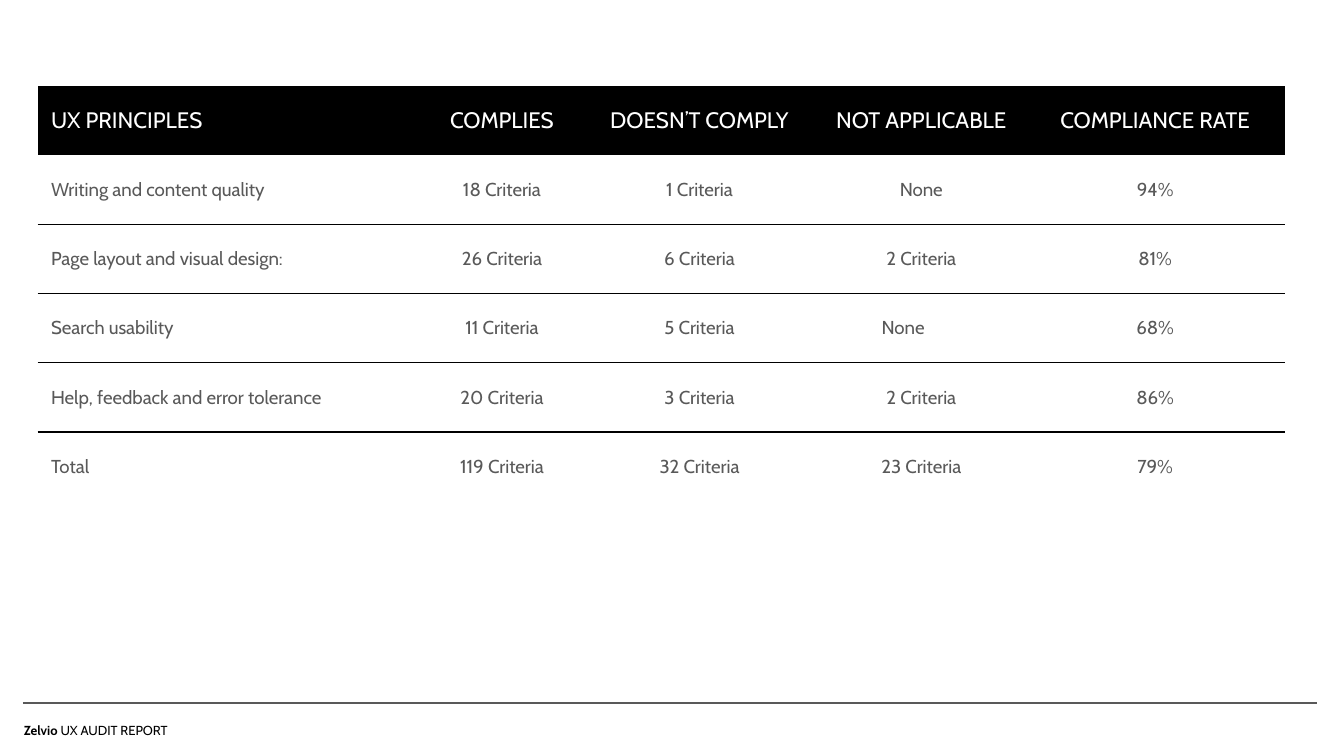
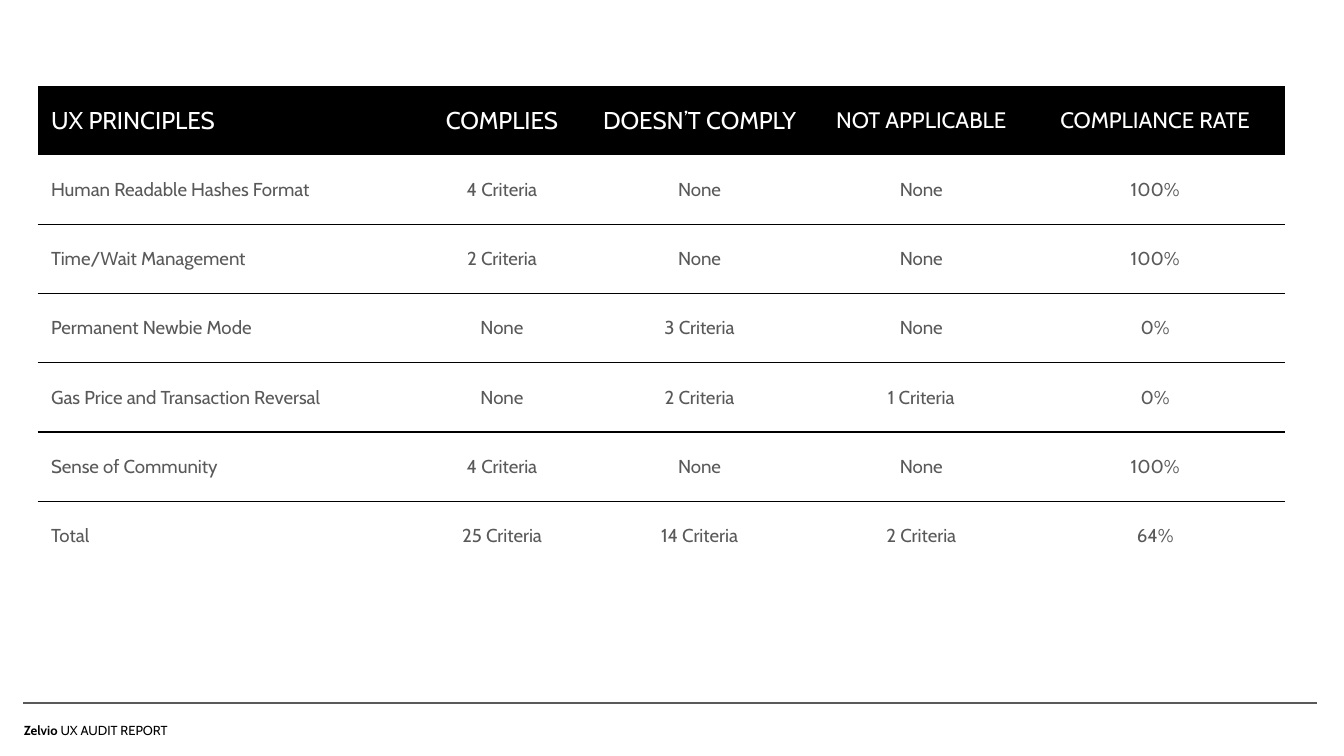
"""Build two slides of a UX audit with compliance tables."""
import lxml.etree
import pptx
import pptx.dml.color
import pptx.enum.text
import pptx.oxml.ns
import pptx.util

WIDE = pptx.util.Inches(10)
HIGH = pptx.util.Inches(5.625)
FONT = "Cabin"
HUES = {"ink": "000000", "grey": "595959", "paper": "FFFFFF"}
LEFT, TOP, ROW = 2.8, 11.4, 9.15
COLS = [28.6, 11.9, 17.5, 15.5, 19.3]
PLAIN = "{2D5ABB26-0587-4C30-8999-92F81FD0307C}"
ALIGN = pptx.enum.text.PP_ALIGN
MID = pptx.enum.text.MSO_ANCHOR.MIDDLE
GROW = pptx.enum.text.MSO_AUTO_SIZE.SHAPE_TO_FIT_TEXT
HEAD = ["UX PRINCIPLES", "COMPLIES", "DOESN’T COMPLY", "NOT APPLICABLE", "COMPLIANCE RATE"]
BASICS = [
    ["Writing and content quality", "18 Criteria", "1 Criteria", "None", "94%"],
    ["Page layout and visual design:", "26 Criteria", "6 Criteria", "2 Criteria", "81%"],
    ["Search usability", "11 Criteria", "5 Criteria", "None", "68%"],
    ["Help, feedback and error tolerance", "20 Criteria", "3 Criteria", "2 Criteria", "86%"],
    ["Total", "119 Criteria", "32 Criteria", "23 Criteria", "79%"],
]
CHAIN = [
    ["Human Readable Hashes Format", "4 Criteria", "None", "None", "100%"],
    ["Time/Wait Management", "2 Criteria", "None", "None", "100%"],
    ["Permanent Newbie Mode", "None", "3 Criteria", "None", "0%"],
    ["Gas Price and Transaction Reversal", "None", "2 Criteria", "1 Criteria", "0%"],
    ["Sense of Community", "4 Criteria", "None", "None", "100%"],
    ["Total", "25 Criteria", "14 Criteria", "2 Criteria", "64%"],
]


def across(share):
    """Turn a percentage of the slide width into a length."""
    return int(WIDE * share / 100)


def down(share):
    """Turn a percentage of the slide height into a length."""
    return int(HIGH * share / 100)


def tint(name):
    """Give the named colour."""
    return pptx.dml.color.RGBColor.from_string(HUES[name])


def adorn(item, looks):
    """Set attributes from a dict of format values."""
    for key, value in looks.items():
        setattr(item, key, value)


def inset(item, side, edge):
    """Set the side and top margins in inches."""
    wide, high = pptx.util.Inches(side), pptx.util.Inches(edge)
    adorn(item, {"margin_left": wide, "margin_right": wide,
                 "margin_top": high, "margin_bottom": high})


def style(font, size, hue, bold=False):
    """Format a font."""
    adorn(font, {"name": FONT, "size": pptx.util.Pt(size), "bold": bold})
    font.color.rgb = tint(hue)


def border(cell, sides):
    """Draw a thin rule on the given sides of a cell, top before bottom."""
    tag = pptx.oxml.ns.qn
    props = cell._tc.get_or_add_tcPr()
    for spot, side in enumerate(sides):
        line = lxml.etree.Element(tag("a:ln" + side), w=str(pptx.util.Pt(0.75)))
        fill = lxml.etree.SubElement(line, tag("a:solidFill"))
        lxml.etree.SubElement(fill, tag("a:srgbClr"), val=HUES["ink"])
        props.insert(spot, line)


def write(cell, text, size, hue, first):
    """Fill a cell with text, centred unless it is in the first column."""
    cell.text = text
    cell.vertical_anchor = MID
    para = cell.text_frame.paragraphs[0]
    para.alignment = ALIGN.LEFT if first else ALIGN.CENTER
    style(para.runs[0].font, size, hue)


def grid(slide, rows, sizes):
    """Add a table with a dark head and ruled rows."""
    count = len(rows) + 1
    frame = slide.shapes.add_table(count, len(COLS), across(LEFT), down(TOP),
                                   across(sum(COLS)), down(ROW * count))
    table = frame.table
    adorn(table, {"first_row": False, "horz_banding": False})
    table._tbl.tblPr.find(pptx.oxml.ns.qn("a:tableStyleId")).text = PLAIN
    for col, share in zip(table.columns, COLS):
        col.width = across(share)
    for row in table.rows:
        row.height = down(ROW)
    for c, (text, size) in enumerate(zip(HEAD, sizes)):
        cell = table.cell(0, c)
        write(cell, text, size, "paper", c == 0)
        inset(cell, 0.1, 0.07)
        cell.fill.solid()
        cell.fill.fore_color.rgb = tint("ink")
    for r, row in enumerate(rows, 1):
        sides = ("T" if r > 1 else "") + ("B" if r < len(rows) else "")
        for c, text in enumerate(row):
            cell = table.cell(r, c)
            write(cell, text, 10, "grey", c == 0)
            inset(cell, 0 if c else 0.1, 0)
            cell.fill.background()
            border(cell, sides)
    return table


def footer(slide):
    """Add the bottom rule and the report name."""
    box = slide.shapes.add_textbox(across(0.8), down(93), across(20.7), down(5.7))
    frame = box.text_frame
    adorn(frame, {"word_wrap": True, "auto_size": GROW})
    inset(frame, 0.1, 0.1)
    para = frame.paragraphs[0]
    para.line_spacing = 1.5
    for text, bold in (("Zelvio ", True), ("UX AUDIT REPORT", False)):
        run = para.add_run()
        run.text = text
        style(run.font, 7, "ink", bold)
    rule = slide.shapes.add_connector(pptx.enum.shapes.MSO_CONNECTOR.STRAIGHT,
                                      across(1.7), down(93), across(98), down(93))
    rule.line.width = pptx.util.Pt(0.75)
    rule.line.color.rgb = tint("grey")
    lxml.etree.SubElement(rule._element.spPr, pptx.oxml.ns.qn("a:effectLst"))


def page(deck, rows, sizes):
    """Add a slide with its footer and table."""
    slide = deck.slides.add_slide(deck.slide_layouts[6])
    slide.background.fill.solid()
    slide.background.fill.fore_color.rgb = tint("paper")
    footer(slide)
    return grid(slide, rows, sizes)


def main():
    """Build and save the deck."""
    deck = pptx.Presentation()
    adorn(deck, {"slide_width": WIDE, "slide_height": HIGH})
    table = page(deck, BASICS, [12] * 5)
    search = table.cell(3, 3)
    search.margin_left = pptx.util.Inches(0.48)
    search.text_frame.paragraphs[0].alignment = ALIGN.LEFT
    page(deck, CHAIN, [13] * 3 + [12] * 2)
    deck.save("out.pptx")


if __name__ == "__main__":
    main()
